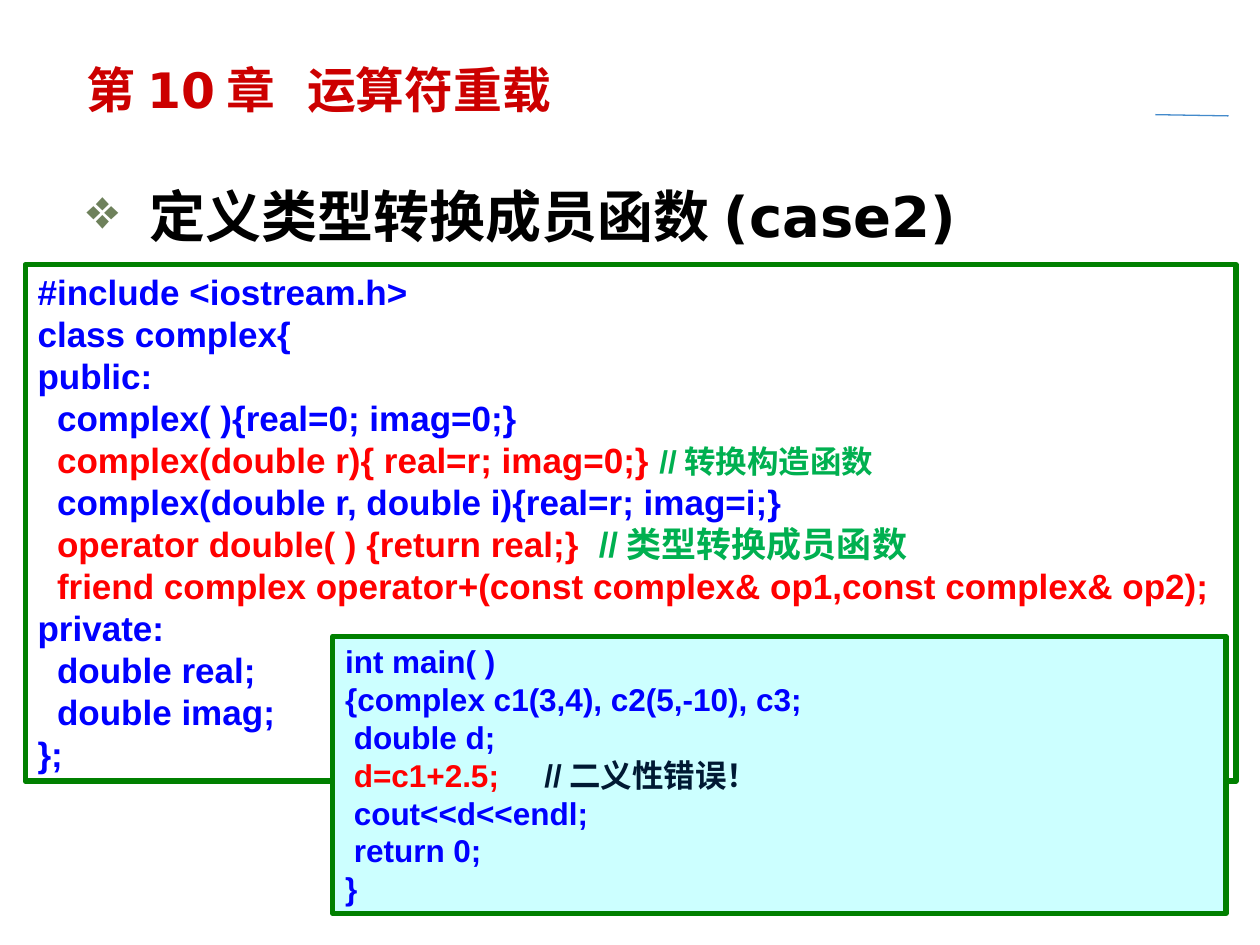
from lxml import etree
from pptx import Presentation
from pptx.dml.color import RGBColor
from pptx.enum.shapes import MSO_CONNECTOR, MSO_SHAPE
from pptx.enum.text import MSO_ANCHOR, PP_ALIGN
from pptx.oxml.ns import qn
from pptx.util import Inches, Pt

RECT = MSO_SHAPE.RECTANGLE
STRAIGHT = MSO_CONNECTOR.STRAIGHT
TOP, MIDDLE = MSO_ANCHOR.TOP, MSO_ANCHOR.MIDDLE
LEFT, CENTER = PP_ALIGN.LEFT, PP_ALIGN.CENTER

BLACK = RGBColor(0x00, 0x00, 0x00)
BLUE = RGBColor(0x00, 0x00, 0xFF)
RED = RGBColor(0xFF, 0x00, 0x00)
GREEN = RGBColor(0x00, 0xB0, 0x50)
NAVY = RGBColor(0x00, 0x19, 0x33)
CRIMSON = RGBColor(0xCC, 0x00, 0x00)
FRAME = RGBColor(0x00, 0x80, 0x00)
AQUA = RGBColor(0xCC, 0xFF, 0xFF)
STEEL = RGBColor(0x43, 0x8A, 0xCB)
SAGE = RGBColor(0x6E, 0x81, 0x5B)

CODE, HEAD = "Arial", "DejaVu Sans"


class Page:
    """Holds the slide and draws each kind of element on it."""

    def __init__(self, slide):
        self.slide = slide

    def rule(self, x1, y1, x2, y2):
        line = self.slide.shapes.add_connector(
            STRAIGHT, Inches(x1), Inches(y1), Inches(x2), Inches(y2))
        line.line.color.rgb = STEEL
        line.line.width = Pt(0.75)
        etree.SubElement(line._element.spPr, qn("a:effectLst"))

    def add_runs(self, para, runs, size, font):
        for text, color, *own in runs:
            run = para.add_run()
            run.text = text
            run.font.name = font
            run.font.size = Pt(own[0] if own else size)
            run.font.bold = True
            run.font.color.rgb = color

    def label(self, x, y, w, h, runs, size, font, align=LEFT, anchor=TOP):
        box = self.slide.shapes.add_textbox(
            Inches(x), Inches(y), Inches(w), Inches(h))
        frame = box.text_frame
        frame.word_wrap = True
        frame.vertical_anchor = anchor
        para = frame.paragraphs[0]
        para.alignment = align
        self.add_runs(para, runs, size, font)
        return para

    def bullet(self, para, mark, color, indent):
        props = para._p.get_or_add_pPr()
        props.set("marL", str(Inches(indent)))
        props.set("indent", str(-Inches(indent)))
        tint = etree.SubElement(props, qn("a:buClr"))
        etree.SubElement(tint, qn("a:srgbClr"), val=str(color))
        etree.SubElement(props, qn("a:buChar"), char=mark)

    def tab(self, para, pos):
        stops = etree.SubElement(para._p.get_or_add_pPr(), qn("a:tabLst"))
        etree.SubElement(stops, qn("a:tab"), pos=str(Inches(pos)), algn="l")

    def code(self, x, y, w, h, lines, size, fill=None):
        box = self.slide.shapes.add_shape(
            RECT, Inches(x), Inches(y), Inches(w), Inches(h))
        box.shadow.inherit = False
        if fill is None:
            box.fill.background()
        else:
            box.fill.solid()
            box.fill.fore_color.rgb = fill
        box.line.color.rgb = FRAME
        box.line.width = Pt(3)
        frame = box.text_frame
        frame.word_wrap = True
        frame.vertical_anchor = TOP
        for i, runs in enumerate(lines):
            para = frame.add_paragraph() if i else frame.paragraphs[0]
            para.alignment = LEFT
            self.add_runs(para, runs, size, CODE)


def main():
    deck = Presentation()
    deck.slide_width, deck.slide_height = Inches(10), Inches(7.5)
    page = Page(deck.slides.add_slide(deck.slide_layouts[6]))

    # Corner rule
    page.rule(9.17, 0.91, 9.75, 0.92)

    # Topic
    topic = page.label(0.59, 1.39, 9.14, 0.65,
                       [("定义类型转换成员函数(case2)", BLACK)], 32, HEAD)
    page.bullet(topic, "❖", SAGE, 0.5)

    # Class code
    page.code(0.2, 2.1, 9.61, 4.1, [
        [("#include <iostream.h>", BLUE)],
        [("class complex{", BLUE)],
        [("public:", BLUE)],
        [("  complex( ){real=0; imag=0;}", BLUE)],
        [("  complex(double r){ real=r; imag=0;} ", RED),
         ("//转换构造函数", GREEN, 18)],
        [("  complex(double r, double i){real=r; imag=i;}", BLUE)],
        [("  operator double( ) {return real;}  ", RED),
         ("//类型转换成员函数", GREEN)],
        [("  friend complex operator+(const complex& op1,"
          "const complex& op2);", RED)],
        [("private:", BLUE)],
        [("  double real;", BLUE)],
        [("  double imag;", BLUE)],
        [("};", BLUE)],
    ], 20)

    # Main program and its remark
    page.code(2.64, 5.05, 7.09, 2.2, [
        [("int main( )", BLUE)],
        [("{complex c1(3,4), c2(5,-10), c3;", BLUE)],
        [(" double d;", BLUE)],
        [(" d=c1+2.5;", RED)],
        [(" cout<<d<<endl;", BLUE)],
        [(" return 0;", BLUE)],
        [("}", BLUE)],
    ], 18, AQUA)
    page.label(4.14, 5.95, 1.81, 0.4, [("//二义性错误！", NAVY)],
               18, CODE, align=CENTER)

    # Chapter title
    title = page.label(0.59, 0.44, 7.49, 0.62,
                       [("第10章\t运算符重载", CRIMSON)],
                       27.9, HEAD, anchor=MIDDLE)
    title.line_spacing = 0.8
    page.tab(title, 1.75)

    deck.save("out.pptx")


if __name__ == "__main__":
    main()
